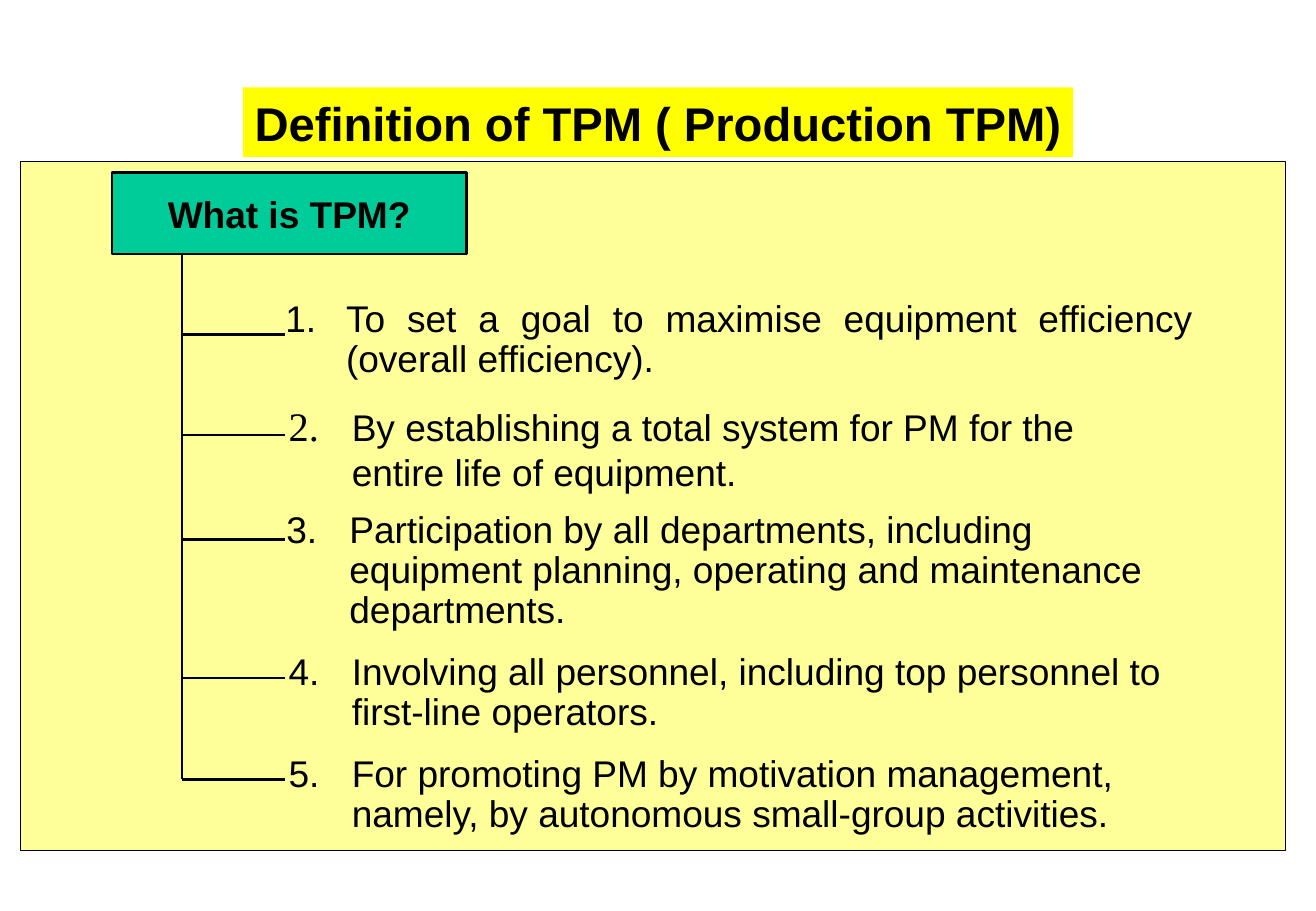
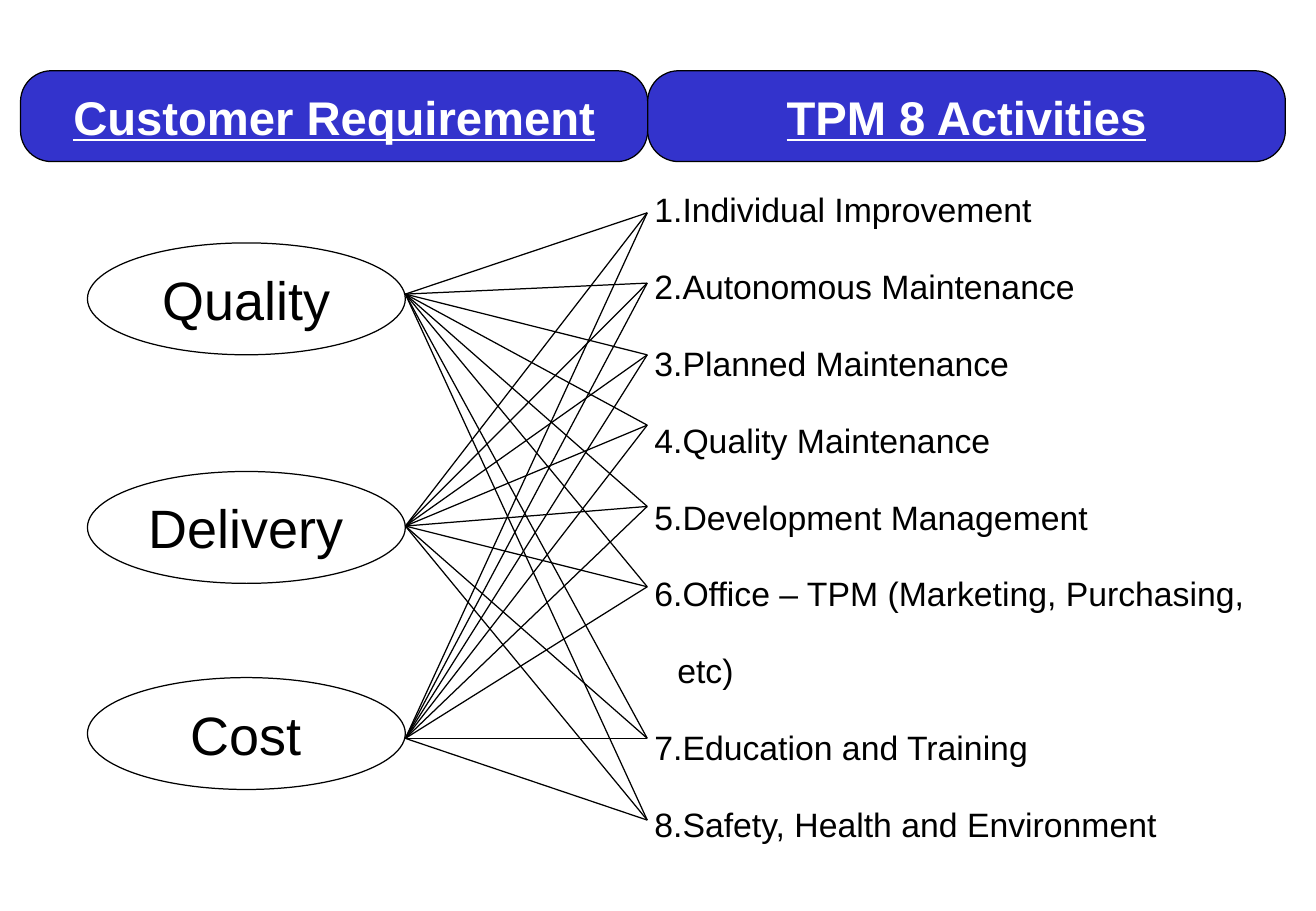
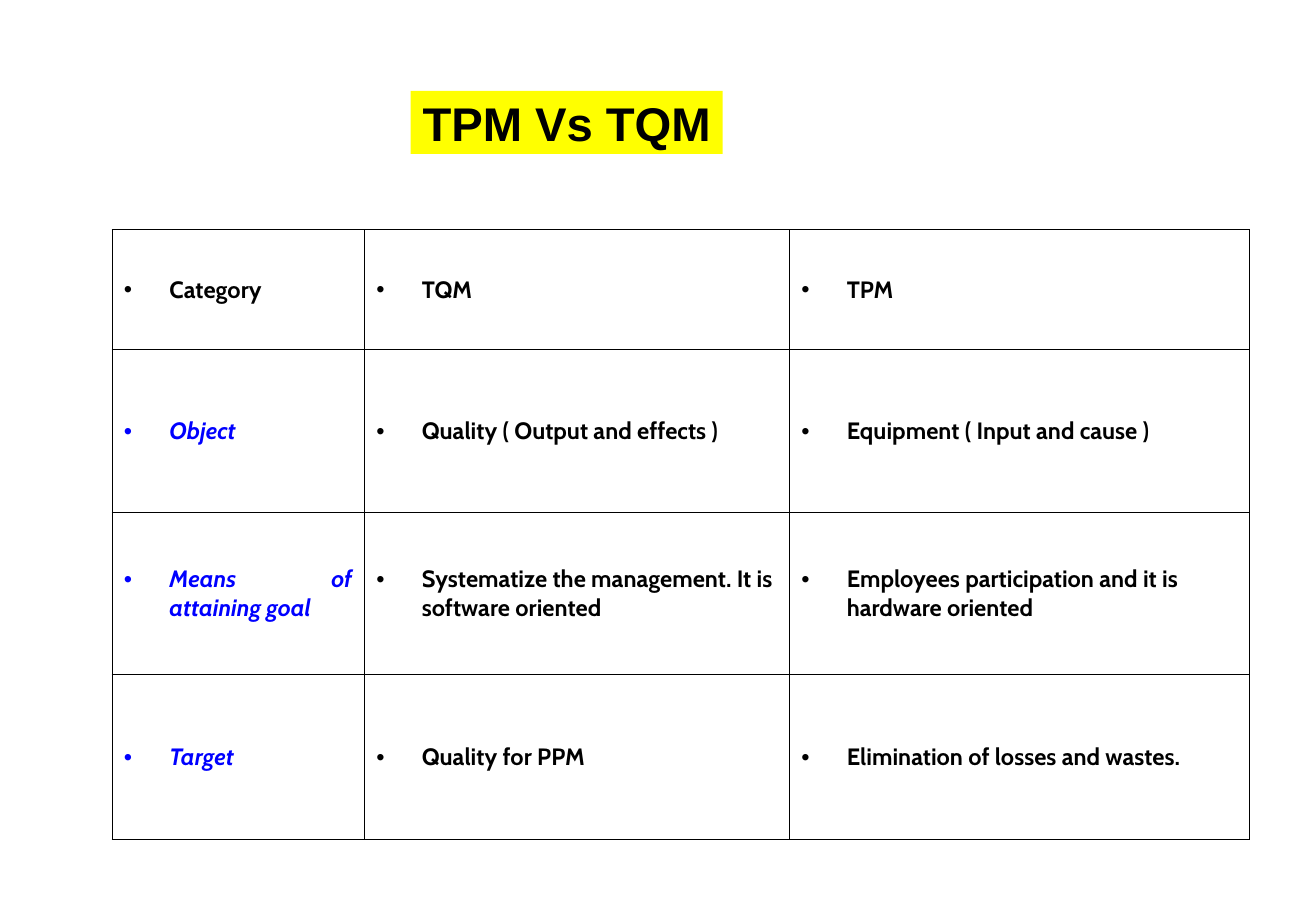
from lxml.etree import SubElement
from pptx import Presentation
from pptx.dml.color import RGBColor
from pptx.enum.shapes import MSO_CONNECTOR, MSO_SHAPE
from pptx.enum.text import MSO_ANCHOR, PP_ALIGN
from pptx.oxml.ns import qn
from pptx.util import Cm, Pt

COLORS = {
    "ink": "000000", "white": "FFFFFF", "title": "FFFF00", "panel": "FFFF99",
    "topic": "00CC99", "band": "3333CC", "aspect": "0000FF",
}
RECT, OVAL, ROUND = MSO_SHAPE.RECTANGLE, MSO_SHAPE.OVAL, MSO_SHAPE.ROUNDED_RECTANGLE
LEFT, CENTER, JUSTIFY = PP_ALIGN.LEFT, PP_ALIGN.CENTER, PP_ALIGN.JUSTIFY


def format_text(paragraph, size, color="ink", font="Arial", bold=False, align=LEFT, spacing=1.0):
    paragraph.alignment = align
    paragraph.line_spacing = spacing
    for run in paragraph.runs:
        run.font.size = Pt(size)
        run.font.name = font
        run.font.bold = bold
        run.font.color.rgb = RGBColor.from_string(COLORS[color])


def add_line(slide, x1, y1, x2, y2, weight):
    line = slide.shapes.add_connector(MSO_CONNECTOR.STRAIGHT, Cm(x1), Cm(y1), Cm(x2), Cm(y2))
    line.line.color.rgb = RGBColor.from_string(COLORS["ink"])
    line.line.width = Pt(weight)
    SubElement(line._element.spPr, qn("a:effectLst"))


deck = Presentation()
deck.slide_width, deck.slide_height = Cm(27.53), Cm(19.05)
definition, activities, comparison = [
    deck.slides.add_slide(deck.slide_layouts[6]) for _ in range(3)
]

# Looks shared by the boxes: shape, fill, line weight, text size, text colour, bold
LOOKS = {
    "title": (RECT, "title", 0, 28, "ink", True),
    "panel": (RECT, "panel", 0.75, 22, "ink", False),
    "topic": (RECT, "topic", 1.5, 22, "ink", True),
    "band": (ROUND, "band", 0.75, 28, "white", True),
    "need": (OVAL, None, 0.75, 32, "ink", False),
}
BOXES = [
    (definition, "panel", "", 0.43, 3.38, 26.47, 14.4),
    (definition, "title", "Definition of TPM ( Production TPM)", 5.08, 1.83, 17.37, 1.45),
    (definition, "topic", "What is TPM?", 2.34, 3.61, 7.42, 1.7),
    (activities, "band", "Customer Requirement", 0.43, 1.48, 13.12, 1.9),
    (activities, "band", "TPM 8 Activities", 13.55, 1.48, 13.34, 1.9),
    (activities, "need", "Quality", 1.83, 5.08, 6.65, 2.34),
    (activities, "need", "Delivery", 1.83, 9.86, 6.65, 2.34),
    (activities, "need", "Cost", 1.83, 14.17, 6.65, 2.34),
    (comparison, "title", "TPM Vs TQM", 8.59, 1.9, 6.53, 1.32),
]
for slide, look, text, x, y, w, h in BOXES:
    outline, fill, weight, size, color, bold = LOOKS[look]
    box = slide.shapes.add_shape(outline, Cm(x), Cm(y), Cm(w), Cm(h))
    box.shadow.inherit = False
    if fill:
        box.fill.solid()
        box.fill.fore_color.rgb = RGBColor.from_string(COLORS[fill])
    else:
        box.fill.background()
    if weight:
        box.line.color.rgb = RGBColor.from_string(COLORS["ink"])
        box.line.width = Pt(weight)
    else:
        box.line.fill.background()
    if outline == ROUND:
        box.adjustments[0] = 0.34
    if text:
        box.text_frame.text = text
        box.text_frame.word_wrap = False
        box.text_frame.vertical_anchor = MSO_ANCHOR.MIDDLE
        format_text(box.text_frame.paragraphs[0], size, color, bold=bold, align=CENTER)
        box.text_frame.paragraphs[0].runs[0].font.underline = look == "band"

# Definition: a trunk with one branch for each numbered point
TRUNK_X, BRANCH_END = 3.81, 5.97
# branch y, left, top, width, height, indent, text
POINTS = [
    (6.99, 5.72, 6.15, 19.48, 1.93, 1.27,
     "To set a goal to maximise equipment efficiency (overall efficiency)."),
    (9.1, 5.79, 8.26, 19.02, 2.21, 1.32,
     "By establishing a total system for PM for the entire life of equipment."),
    (11.28, 5.74, 10.57, 19.71, 2.77, 1.32,
     "Participation by all departments, including equipment planning, "
     "operating and maintenance departments."),
    (14.18, 5.79, 13.54, 19.94, 1.93, 1.32,
     "Involving all personnel, including top personnel to first-line operators."),
    (16.3, 5.79, 15.67, 20.35, 1.93, 1.32,
     "For promoting PM by motivation management, namely, "
     "by autonomous small-group activities."),
]
add_line(definition, TRUNK_X, 5.31, TRUNK_X, POINTS[-1][0], 1.5)
for number, (branch_y, x, y, w, h, indent, text) in enumerate(POINTS, 1):
    add_line(definition, TRUNK_X, branch_y, BRANCH_END, branch_y, 1.5)
    point = definition.shapes.add_textbox(Cm(x), Cm(y), Cm(w), Cm(h)).text_frame
    point.word_wrap = True
    paragraph = point.paragraphs[0]
    paragraph.text = f"{number}.\t"
    paragraph.add_run().text = text
    props = paragraph._p.get_or_add_pPr()
    props.set("marL", str(Cm(indent)))
    props.set("indent", str(-Cm(indent)))
    stops = SubElement(props, qn("a:tabLst"))
    for stop in (0, indent):
        SubElement(stops, qn("a:tab"), pos=str(Cm(stop)), algn="l")
    format_text(paragraph, 22, align=JUSTIFY if number == 1 else LEFT,
                spacing=1.0 if number == 2 else 0.9)
    if number == 2:
        paragraph.runs[0].font.name = "Times New Roman"
        paragraph.runs[0].font.size = Pt(24)

# Activities: numbered list, with every need linked to every activity
ACTIVITIES = [
    "Individual Improvement", "Autonomous Maintenance", "Planned Maintenance",
    "Quality Maintenance", "Development Management",
    "Office – TPM (Marketing, Purchasing, etc)", "Education and Training",
    "Safety, Health and Environment",
]
listing = activities.shapes.add_textbox(Cm(13.69), Cm(3.18), Cm(12.62), Cm(14.48)).text_frame
listing.word_wrap = True
listing.margin_left = listing.margin_right = listing.margin_top = listing.margin_bottom = 0
listing.text = "\n".join(ACTIVITIES)
for paragraph in listing.paragraphs:
    props = paragraph._p.get_or_add_pPr()
    props.set("marL", str(Cm(0.48)))
    props.set("indent", str(-Cm(0.48)))
    SubElement(props, qn("a:buFont"), typeface="+mj-lt")
    SubElement(props, qn("a:buAutoNum"), type="arabicPeriod")
    format_text(paragraph, 20, spacing=1.9)

for need_y in (6.15, 11, 15.44):
    for activity_y in (4.45, 5.92, 7.42, 8.89, 10.59, 12.27, 15.44, 17.15):
        add_line(activities, 8.48, need_y, 13.54, activity_y, 0.75)

# Comparison table
ROWS = [
    ("Category", "TQM", "TPM"),
    ("Object", "Quality ( Output and effects )", "Equipment ( Input and cause )"),
    ("Means of attaining goal", "Systematize the management. It is software oriented",
     "Employees participation and it is hardware oriented"),
    ("Target", "Quality for PPM", "Elimination of losses and wastes."),
]
WIDTHS, HEIGHTS = (5.28, 8.89, 9.63), (2.51, 3.4, 3.4, 3.45)
table = comparison.shapes.add_table(
    len(HEIGHTS), len(WIDTHS), Cm(2.34), Cm(4.8), Cm(sum(WIDTHS)), Cm(sum(HEIGHTS))
).table
table.first_row = table.horz_banding = False
for column, width in zip(table.columns, WIDTHS):
    column.width = Cm(width)
for r, (row, height) in enumerate(zip(ROWS, HEIGHTS)):
    table.rows[r].height = Cm(height)
    for c, text in enumerate(row):
        cell = table.cell(r, c)
        cell.text = text
        cell.vertical_anchor = MSO_ANCHOR.MIDDLE
        for side in ("lnL", "lnR", "lnT", "lnB"):
            border = SubElement(cell._tc.get_or_add_tcPr(), qn(f"a:{side}"), w=str(Pt(0.45)))
            SubElement(SubElement(border, qn("a:solidFill")), qn("a:srgbClr"), val=COLORS["ink"])
        cell.fill.background()
        is_aspect = r > 0 and c == 0
        paragraph = cell.text_frame.paragraphs[0]
        props = paragraph._p.get_or_add_pPr()
        props.set("marL", str(Cm(0.95)))
        props.set("indent", str(-Cm(0.95)))
        SubElement(props, qn("a:buFont"), typeface="Arial")
        SubElement(props, qn("a:buChar"), char="•")
        format_text(paragraph, 14, "aspect" if is_aspect else "ink", "Cabin", True,
                    JUSTIFY if r == 0 or c == 0 else LEFT)
        paragraph.runs[0].font.italic = is_aspect

deck.save("out.pptx")
